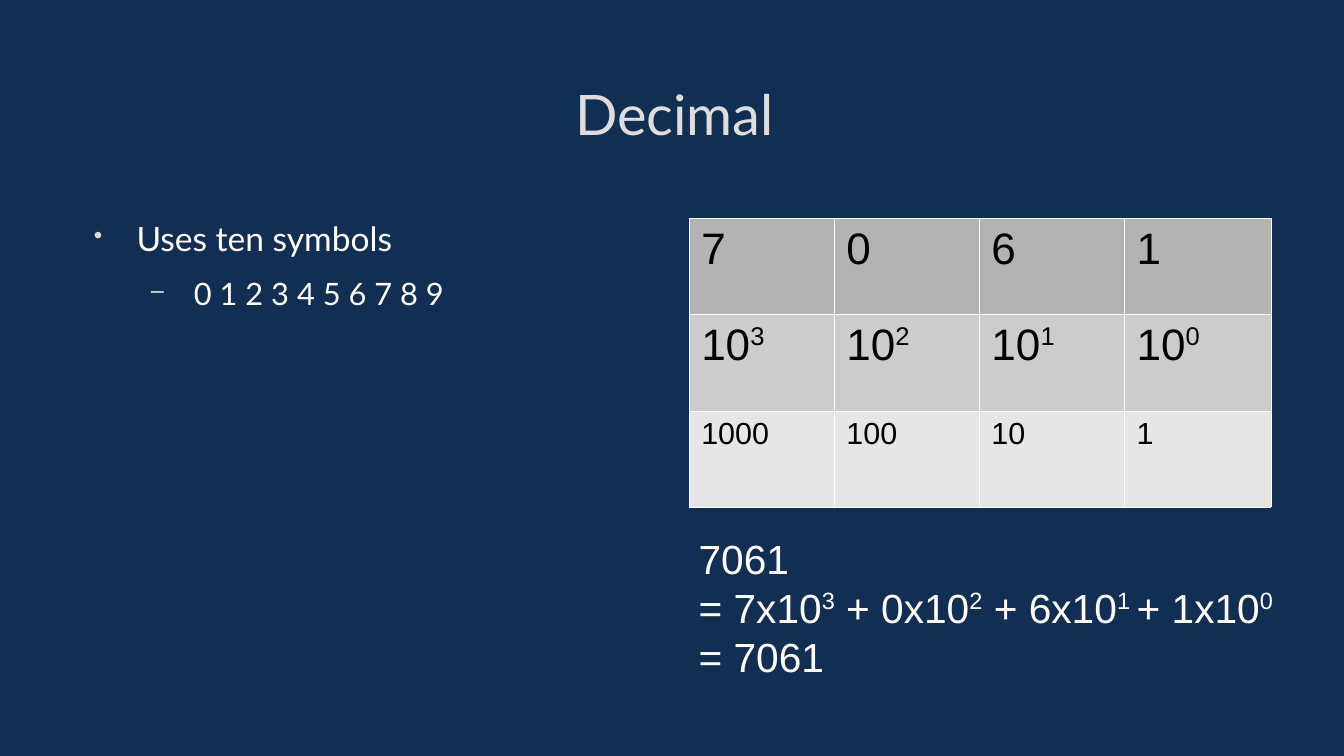
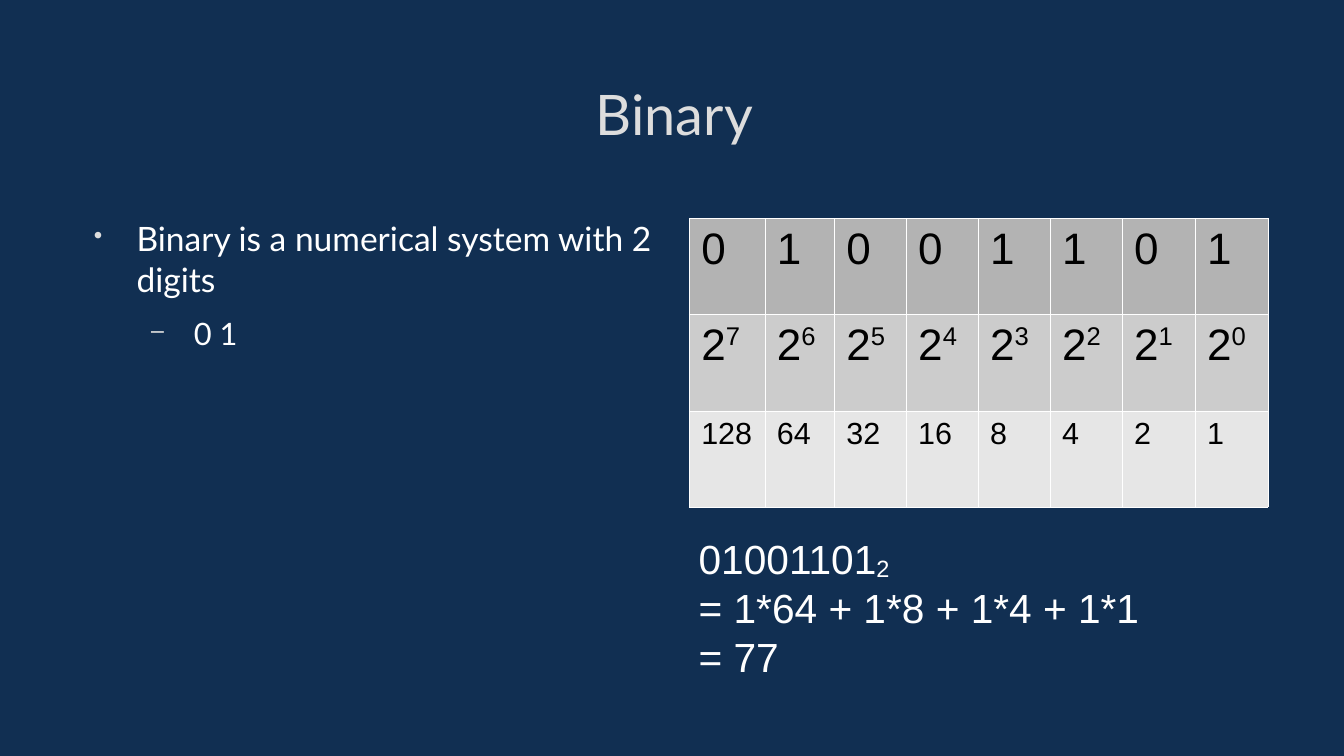
from lxml.etree import SubElement
from pptx import Presentation
from pptx.dml.color import RGBColor
from pptx.enum.text import MSO_ANCHOR as Anchor, MSO_AUTO_SIZE as AutoSize, PP_ALIGN as Align
from pptx.oxml.ns import qn
from pptx.util import Emu, Inches, Pt

NAVY = RGBColor(0x11, 0x2F, 0x52)
SILVER = RGBColor(0xDD, 0xDD, 0xDD)
WHITE = RGBColor(0xFF, 0xFF, 0xFF)
BLACK = RGBColor(0x00, 0x00, 0x00)
ROW_FILLS = [RGBColor(grey, grey, grey) for grey in (0xB3, 0xCC, 0xE6)]
ROW_SIZES = [26, 26, 18]
ROW_HEIGHT = 0.79
BORDER_WIDTH = Emu(762)
HEADING_FONT, NUMBER_FONT = "Lato", "Arial"
BULLETS = [("•", 0.47, 19.8, 0), ("–", 0.94, 18.2, 9.3)]
SUPERSCRIPT, SUBSCRIPT = 33, -8


class Deck:
    """The presentation's style and the slide being filled."""

    def __init__(self, width, height):
        self.presentation = Presentation()
        self.presentation.slide_width = Inches(width)
        self.presentation.slide_height = Inches(height)
        self.slide = None

    def add_slide(self, title):
        self.slide = self.presentation.slides.add_slide(self.presentation.slide_layouts[6])
        fill = self.slide.background.fill
        fill.solid()
        fill.fore_color.rgb = NAVY
        frame = self.text_box(0.65, 0.38, 9.76, 1.09)
        frame.vertical_anchor = Anchor.MIDDLE
        frame.text = title
        frame.paragraphs[0].alignment = Align.CENTER
        self.format_runs(frame.paragraphs[0], HEADING_FONT, 33, SILVER)

    def text_box(self, left, top, width, height, margins=(0, 0)):
        shape = self.slide.shapes.add_textbox(*map(Inches, (left, top, width, height)))
        frame = shape.text_frame
        frame.word_wrap = True
        frame.margin_left = frame.margin_right = Inches(margins[0])
        frame.margin_top = frame.margin_bottom = Inches(margins[1])
        return frame

    @staticmethod
    def format_runs(paragraph, font_name, size, color):
        for run in paragraph.runs:
            run.font.name = font_name
            run.font.size = Pt(size)
            run.font.color.rgb = color

    def number_text(self, paragraph, text, size, color, shift=SUPERSCRIPT):
        """Write text whose parts between bars are raised or lowered by shift percent."""
        for index, part in enumerate(text.split("|")):
            if part:
                run = paragraph.add_run()
                run.text = part
                if index % 2:
                    run.font._element.set("baseline", str(shift * 1000))
        self.format_runs(paragraph, NUMBER_FONT, size, color)

    def bullets(self, *lines):
        """Write one line for each outline level."""
        frame = self.text_box(0.65, 1.79, 4.76, 3.58)
        frame.text = "\n".join(lines)
        for level, paragraph in enumerate(frame.paragraphs):
            character, indent, size, space = BULLETS[level]
            paragraph.level = level
            properties = paragraph._p.get_or_add_pPr()
            properties.set("marL", str(Inches(indent)))
            properties.set("indent", str(Inches(-0.35)))
            color = SubElement(properties, qn("a:buClr"))
            SubElement(color, qn("a:srgbClr"), val=str(SILVER))
            SubElement(properties, qn("a:buSzPct"), val="75000")
            SubElement(properties, qn("a:buChar"), char=character)
            paragraph.space_before = Pt(space)
            self.format_runs(paragraph, HEADING_FONT, size, WHITE)

    @staticmethod
    def cell_borders(cell):
        properties = cell._tc.get_or_add_tcPr()
        for side in ("lnL", "lnR", "lnT", "lnB"):
            line = SubElement(properties, qn(f"a:{side}"), w=str(BORDER_WIDTH))
            fill = SubElement(line, qn("a:solidFill"))
            SubElement(fill, qn("a:srgbClr"), val=str(WHITE))

    def place_value_table(self, digits, base, widths):
        """Show each digit above its power of the base and that power's value."""
        powers = range(len(digits) - 1, -1, -1)
        rows = [
            digits,
            [f"{base}|{power}|" for power in powers],
            [str(base ** power) for power in powers],
        ]
        table = self.slide.shapes.add_table(
            len(rows), len(digits), Inches(5.65), Inches(1.79),
            Inches(sum(widths)), Inches(ROW_HEIGHT * len(rows))).table
        for column, width in zip(table.columns, widths):
            column.width = Inches(width)
        for row_index, values in enumerate(rows):
            table.rows[row_index].height = Inches(ROW_HEIGHT)
            for column_index, value in enumerate(values):
                cell = table.cell(row_index, column_index)
                self.cell_borders(cell)
                cell.fill.solid()
                cell.fill.fore_color.rgb = ROW_FILLS[row_index]
                self.number_text(cell.text_frame.paragraphs[0], value,
                                 ROW_SIZES[row_index], BLACK)

    def calculation(self, width, lines, shift=SUPERSCRIPT):
        frame = self.text_box(5.63, 4.33, width, 1.32, margins=(0.1, 0.05))
        frame.word_wrap = False
        frame.auto_size = AutoSize.SHAPE_TO_FIT_TEXT
        for index, line in enumerate(lines):
            paragraph = frame.add_paragraph() if index else frame.paragraphs[0]
            self.number_text(paragraph, line, 24, WHITE, shift)


def main():
    deck = Deck(11.02, 6.2)

    deck.add_slide("Decimal")
    deck.bullets("Uses ten symbols", "0 1 2 3 4 5 6 7 8 9")
    deck.place_value_table("7061", 10, [1.19] * 3 + [1.2])
    deck.calculation(4.91, ["7061", "= 7x10|3| + 0x10|2| + 6x10|1 |+ 1x10|0|", "= 7061"])

    deck.add_slide("Binary")
    deck.bullets("Binary is a numerical system with 2 digits", "0 1")
    deck.place_value_table("01001101", 2, [0.62, 0.57] + [0.59] * 4 + [0.6] * 2)
    deck.calculation(3.82, ["01001101|2|", "= 1*64 + 1*8 + 1*4 + 1*1", "= 77"], SUBSCRIPT)

    deck.presentation.save("out.pptx")


if __name__ == "__main__":
    main()
